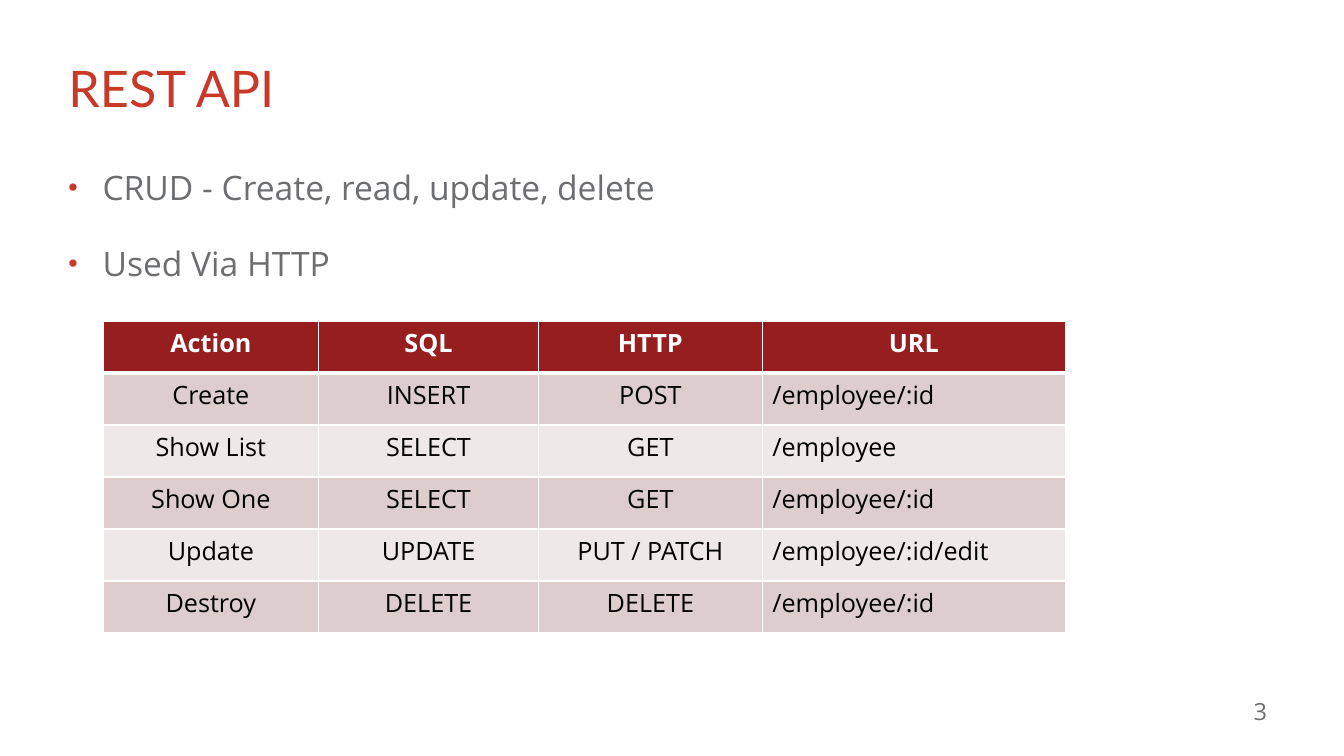
from dataclasses import dataclass

from lxml.etree import SubElement
from pptx import Presentation
from pptx.dml.color import RGBColor as RGB
from pptx.enum.text import MSO_ANCHOR as ANCHOR, MSO_AUTO_SIZE as FIT, PP_ALIGN as ALIGN
from pptx.oxml import parse_xml
from pptx.oxml.ns import nsdecls, qn
from pptx.util import Cm, Pt


@dataclass(frozen=True)
class Theme:
    head_font: str = "Lato"
    body_font: str = "Open Sans"
    accent: str = "C83927"
    grey: str = "6D6E71"
    white: str = "FFFFFF"
    black: str = "000000"
    header: str = "961E1E"
    bands: tuple = ("DDCDCD", "EFE8E8")
    title_size: float = 36
    body_size: float = 24
    cell_size: float = 18
    number_size: float = 16.8


T = Theme()

BULLETS = ["CRUD - Create, read, update, delete", "Used Via HTTP"]
COL_WIDTHS = [5.43, 5.54, 5.64, 7.64]
ROW_HEIGHT = 1.31
ROWS = [
    ("Action", "SQL", "HTTP", "URL"),
    ("Create", "INSERT", "POST", "/employee/:id"),
    ("Show List", "SELECT", "GET", "/employee"),
    ("Show One", "SELECT", "GET", "/employee/:id"),
    ("Update", "UPDATE", "PUT / PATCH", "/employee/:id/edit"),
    ("Destroy", "DELETE", "DELETE", "/employee/:id"),
]


def set_attrs(obj, values):
    for name, value in values.items():
        setattr(obj, name, value)


def place(sp, left, top, width, height):
    set_attrs(sp, dict(left=Cm(left), top=Cm(top), width=Cm(width), height=Cm(height)))


def write(p, text, font, size, color, bold=False, **para):
    """Fill a paragraph with one formatted run."""
    set_attrs(p, para)
    r = p.add_run()
    r.text = text
    set_attrs(r.font, dict(name=font, size=Pt(size), bold=bold))
    r.font.color.rgb = RGB.from_string(color)


def frame(sp, anchor):
    tf = sp.text_frame
    set_attrs(tf, dict(word_wrap=True, auto_size=FIT.NONE, vertical_anchor=anchor))
    return tf


def add_bullet(p):
    pPr = p._p.get_or_add_pPr()
    set_attrs_xml = dict(marL=str(Cm(0.86)), indent=str(Cm(-0.86)))
    for name, value in set_attrs_xml.items():
        pPr.set(name, value)
    SubElement(SubElement(pPr, qn("a:buClr")), qn("a:srgbClr"), val=T.accent)
    SubElement(pPr, qn("a:buSzPct"), val="80000")
    SubElement(pPr, qn("a:buFont"), typeface="Arial")
    SubElement(pPr, qn("a:buChar"), char="•")


def set_borders(cell, **widths):
    """Draw white cell borders, widths in points by side (L, R, T, B)."""
    tcPr = cell._tc.get_or_add_tcPr()
    for i, (side, width) in enumerate(widths.items()):
        tcPr.insert(i, parse_xml(
            f'<a:ln{side} {nsdecls("a")} w="{Pt(width)}"><a:solidFill>'
            f'<a:srgbClr val="{T.white}"/></a:solidFill></a:ln{side}>'))


def fill_title(sp, text):
    place(sp, 1.47, 0.64, 30.71, 3.1)
    write(frame(sp, ANCHOR.MIDDLE).paragraphs[0], text, T.head_font,
          T.title_size, T.accent, alignment=ALIGN.LEFT)


def fill_bullets(sp, items):
    place(sp, 1.47, 4.19, 28.91, 12.6)
    tf = frame(sp, ANCHOR.TOP)
    for i, text in enumerate(items):
        p = tf.add_paragraph() if i else tf.paragraphs[0]
        write(p, text, T.body_font, T.body_size, T.grey, alignment=ALIGN.LEFT,
              line_spacing=0.9, space_before=Pt(28.5 if i else 0))
        add_bullet(p)


def add_number(slide, text):
    sp = slide.shapes.add_textbox(Cm(27.99), Cm(17.4), Cm(4.19), Cm(1.02))
    write(frame(sp, ANCHOR.MIDDLE).paragraphs[0], text, T.body_font,
          T.number_size, T.grey, alignment=ALIGN.RIGHT)


def add_action_table(slide, rows):
    table = slide.shapes.add_table(
        len(rows), len(COL_WIDTHS), Cm(2.6), Cm(8.09),
        Cm(sum(COL_WIDTHS)), Cm(ROW_HEIGHT * len(rows))).table
    for col, width in zip(table.columns, COL_WIDTHS):
        col.width = Cm(width)
    for i, row in enumerate(rows):
        table.rows[i].height = Cm(ROW_HEIGHT)
        is_head = i == 0
        fill = T.header if is_head else T.bands[(i - 1) % 2]
        for j, text in enumerate(row):
            cell = table.cell(i, j)
            cell.fill.solid()
            cell.fill.fore_color.rgb = RGB.from_string(fill)
            set_borders(cell, L=1, R=1, T=3 if i == 1 else 1, B=3 if is_head else 1)
            is_url = j == len(row) - 1 and not is_head
            write(cell.text_frame.paragraphs[0], text, T.body_font, T.cell_size,
                  T.white if is_head else T.black, bold=is_head,
                  alignment=ALIGN.LEFT if is_url else ALIGN.CENTER)


def main():
    prs = Presentation()
    set_attrs(prs, dict(slide_width=Cm(33.87), slide_height=Cm(19.05)))
    slide = prs.slides.add_slide(prs.slide_layouts[1])

    # Title, page number and list
    fill_title(slide.shapes.title, "REST API")
    add_number(slide, "3")
    fill_bullets(slide.placeholders[1], BULLETS)

    # Table of actions
    add_action_table(slide, ROWS)

    prs.save("out.pptx")


main()
